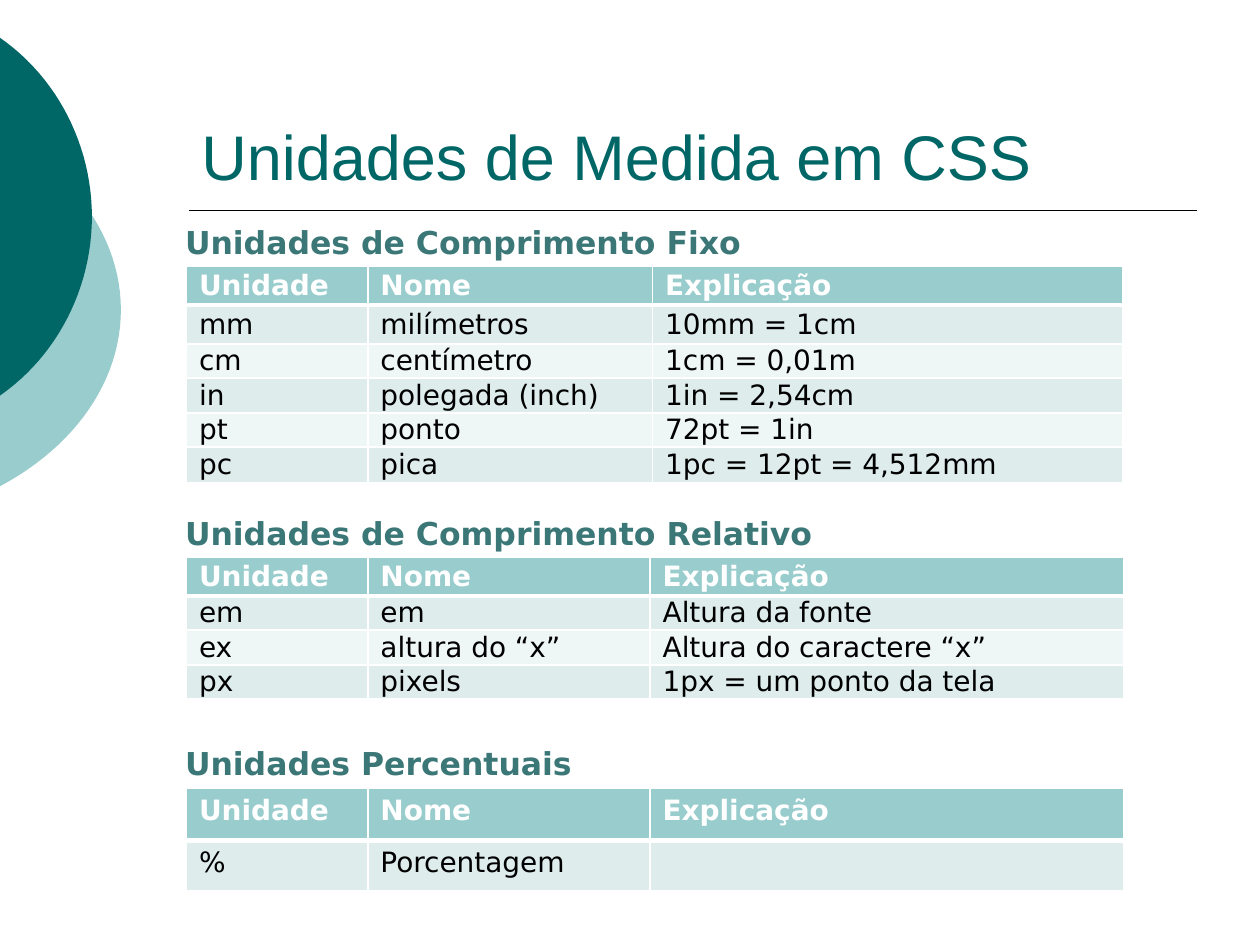
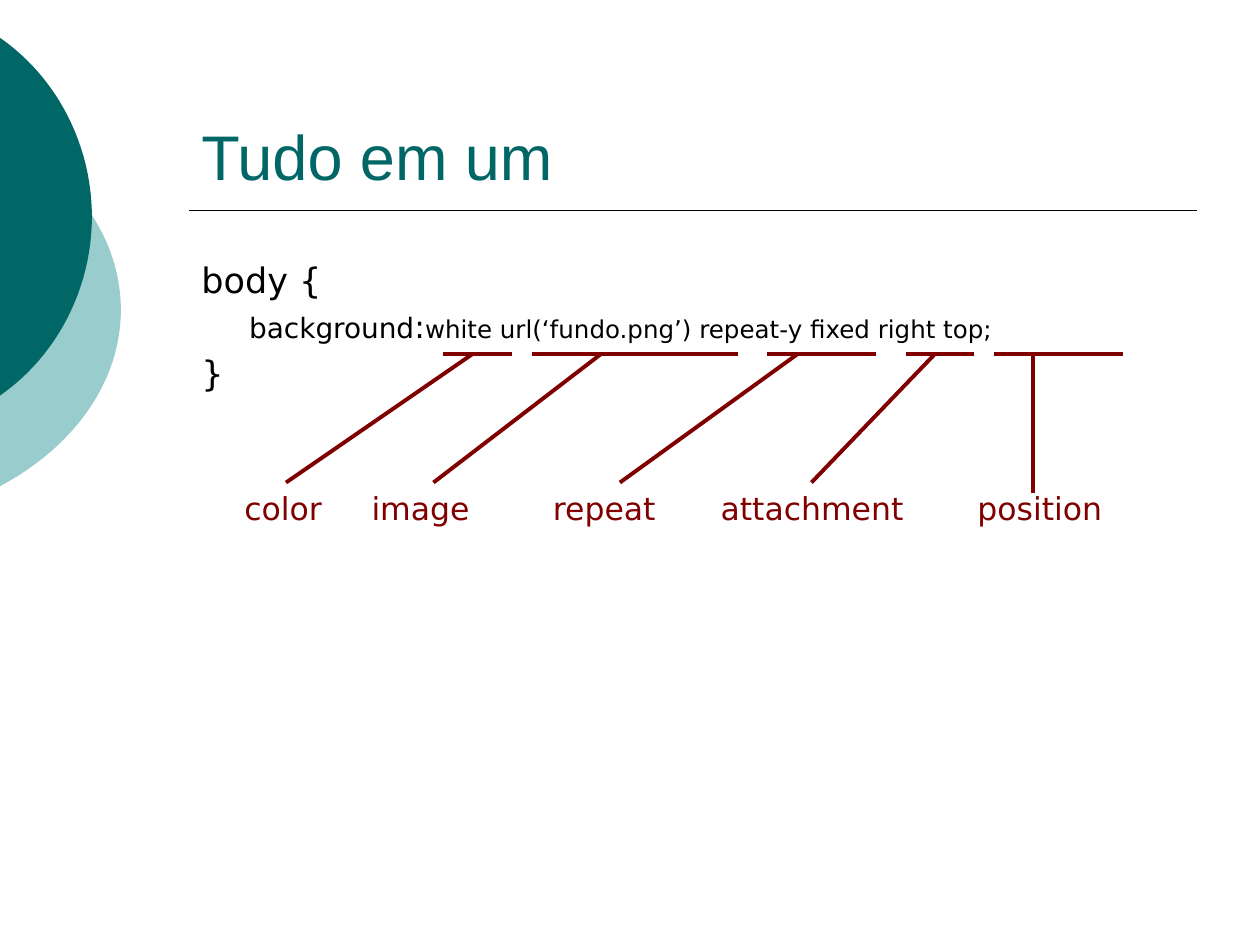
from dataclasses import dataclass

import lxml.etree
import pptx
import pptx.dml.color
import pptx.enum.shapes
import pptx.enum.text
import pptx.oxml.ns
import pptx.slide
import pptx.table
import pptx.text.text
import pptx.util

Inches = pptx.util.Inches
Pt = pptx.util.Pt
qn = pptx.oxml.ns.qn
Anchor = pptx.enum.text.MSO_ANCHOR


@dataclass(frozen=True)
class Theme:
    deep: str = "006666"
    pale: str = "99CCCC"
    head: str = "3B7777"
    odd: str = "DEECEC"
    even: str = "EFF6F6"
    mark: str = "800000"
    ink: str = "000000"
    white: str = "FFFFFF"
    sans: str = "DejaVu Sans"
    title: str = "Arial"
    huge: int = 36
    large: int = 20
    mid: int = 18
    base: int = 16
    small: int = 14


LOOK = Theme()


@dataclass(frozen=True)
class Disc:
    top: float
    mid: float
    bend: float
    reach: float
    fill: str


@dataclass(frozen=True)
class Grid:
    head: str
    wide: float
    head_top: float
    top: float
    cols: tuple[float, ...]
    highs: tuple[float, ...]
    rows: tuple[tuple[str, ...], ...]
    pad: float = 0
    anchor: Anchor = Anchor.MIDDLE


@dataclass(frozen=True)
class Part:
    name: str
    left: float
    wide: float
    start: float
    end: float
    tip: float
    foot: float
    low: float = 3.83


DISCS = (
    Disc(1.06, 2.46, 0.6, 0.96, LOOK.pale),
    Disc(0.3, 1.72, 0.46, 0.73, LOOK.deep),
)

HEADS = ("Unidade", "Nome", "Explicação")

GRIDS = (
    Grid("Unidades de Comprimento Fixo", 4.62, 1.72, 2.11,
         (1.44, 2.26, 3.73), (0.31, 0.31, 0.27, 0.28, 0.27, 0.28),
         (("mm", "milímetros", "10mm = 1cm"),
          ("cm", "centímetro", "1cm = 0,01m"),
          ("in", "polegada (inch)", "1in = 2,54cm"),
          ("pt", "ponto", "72pt = 1in"),
          ("pc", "pica", "1pc = 12pt = 4,512mm"))),
    Grid("Unidades de Comprimento Relativo", 5.19, 4.03, 4.42,
         (1.44, 2.24, 3.76), (0.31, 0.27, 0.28, 0.27),
         (("em", "em", "Altura da fonte"),
          ("ex", "altura do “x”", "Altura do caractere “x”"),
          ("px", "pixels", "1px = um ponto da tela"))),
    Grid("Unidades Percentuais", 3.28, 5.86, 6.26,
         (1.44, 2.24, 3.76), (0.41, 0.37),
         (("%", "Porcentagem", ""),), 0.05, Anchor.TOP),
)

PARTS = (
    Part("color", 1.84, 0.82, 3.52, 4.06, 3.75, 2.27),
    Part("image", 2.85, 0.98, 4.22, 5.86, 4.77, 3.44),
    Part("repeat", 4.29, 1.02, 6.09, 6.95, 6.33, 4.92),
    Part("attachment", 5.62, 1.65, 7.19, 7.73, 7.42, 6.44),
    Part("position", 7.66, 1.2, 7.89, 8.91, 8.2, 8.2, 3.91),
)
RULE = 2.81

CODE = (
    (0, (("body {", LOOK.large),)),
    (0.38, (("background", LOOK.base), (":", LOOK.mid),
            ("white url(‘fundo.png’) repeat-y fixed right top;", LOOK.small))),
    (0, (("}", LOOK.large),)),
)


def tint(code: str) -> pptx.dml.color.RGBColor:
    return pptx.dml.color.RGBColor.from_string(code)


def write(para: pptx.text.text._Paragraph, text: str, *, size: int = LOOK.base,
          ink: str = LOOK.ink, face: str = LOOK.sans, bold: bool = False) -> None:
    run = para.add_run()
    run.text = text
    run.font.size = Pt(size)
    run.font.name = face
    run.font.bold = bold
    run.font.color.rgb = tint(ink)


def box(slide: pptx.slide.Slide, left: float, top: float, wide: float,
        high: float, wrap: bool = False) -> pptx.text.text.TextFrame:
    frame = slide.shapes.add_textbox(
        Inches(left), Inches(top), Inches(wide), Inches(high)).text_frame
    frame.word_wrap = wrap
    return frame


def line(slide: pptx.slide.Slide, x1: float, y1: float, x2: float, y2: float,
         ink: str, width: float) -> None:
    link = slide.shapes.add_connector(
        pptx.enum.shapes.MSO_CONNECTOR.STRAIGHT,
        Inches(x1), Inches(y1), Inches(x2), Inches(y2))
    link.line.color.rgb = tint(ink)
    link.line.width = Pt(width)
    lxml.etree.SubElement(link._element.spPr, qn("a:effectLst"))


def curve(disc: Disc, steps: int = 24) -> list[tuple[float, float]]:
    knots = ((0, disc.top), (disc.bend, disc.top + 0.32),
             (disc.reach, disc.mid - 0.56), (disc.reach, disc.mid))
    upper = []
    for step in range(steps + 1):
        t = step / steps
        u = 1 - t
        parts = (u ** 3, 3 * u * u * t, 3 * u * t * t, t ** 3)
        upper.append(tuple(sum(part * knot[axis] for part, knot in zip(parts, knots))
                           for axis in (0, 1)))
    return upper + [(x, 2 * disc.mid - y) for x, y in reversed(upper[:-1])]


def draw(slide: pptx.slide.Slide, disc: Disc) -> None:
    dots = [(Inches(x), Inches(y)) for x, y in curve(disc)]
    form = slide.shapes.build_freeform(*dots[0])
    form.add_line_segments(dots[1:], close=True)
    shape = form.convert_to_shape()
    shape.shadow.inherit = False
    shape.fill.solid()
    shape.fill.fore_color.rgb = tint(disc.fill)
    shape.line.fill.background()


def start(deck: pptx.presentation.Presentation, title: str) -> pptx.slide.Slide:
    slide = deck.slides.add_slide(deck.slide_layouts[6])
    for disc in DISCS:
        draw(slide, disc)
    line(slide, 1.5, 1.67, 9.5, 1.67, LOOK.ink, 1)
    frame = box(slide, 1.5, 0.33, 8, 1.25, wrap=True)
    frame.vertical_anchor = Anchor.BOTTOM
    write(frame.paragraphs[0], title, size=LOOK.huge, ink=LOOK.deep, face=LOOK.title)
    return slide


def edge(cell: pptx.table._Cell, row: int) -> None:
    props = cell._tc.get_or_add_tcPr()
    widths = {"L": 1, "R": 1, "T": 3 if row == 1 else 1, "B": 3 if row == 0 else 1}
    for place, (side, width) in enumerate(widths.items()):
        border = lxml.etree.Element(qn(f"a:ln{side}"), w=str(Pt(width)))
        fill = lxml.etree.SubElement(border, qn("a:solidFill"))
        lxml.etree.SubElement(fill, qn("a:srgbClr"), val=LOOK.white)
        props.insert(place, border)


def table(slide: pptx.slide.Slide, grid: Grid) -> None:
    frame = box(slide, 1.37, grid.head_top, grid.wide, 0.4)
    write(frame.paragraphs[0], grid.head, size=LOOK.mid, ink=LOOK.head, bold=True)
    lines = (HEADS, *grid.rows)
    sheet = slide.shapes.add_table(
        len(lines), len(HEADS), Inches(1.48), Inches(grid.top),
        Inches(sum(grid.cols)), Inches(sum(grid.highs))).table
    for col, wide in zip(sheet.columns, grid.cols):
        col.width = Inches(wide)
    for row, (texts, high) in enumerate(zip(lines, grid.highs)):
        sheet.rows[row].height = Inches(high)
        top = row == 0
        shade = LOOK.pale if top else LOOK.odd if row % 2 else LOOK.even
        for col, text in enumerate(texts):
            cell = sheet.cell(row, col)
            cell.fill.solid()
            cell.fill.fore_color.rgb = tint(shade)
            cell.margin_left = cell.margin_right = Inches(0.1)
            cell.margin_top = cell.margin_bottom = Inches(grid.pad)
            cell.vertical_anchor = grid.anchor
            edge(cell, row)
            write(cell.text_frame.paragraphs[0], text, bold=top,
                  ink=LOOK.white if top else LOOK.ink)


def code(slide: pptx.slide.Slide) -> None:
    frame = box(slide, 1.5, 2, 8, 4.5, wrap=True)
    for place, (indent, runs) in enumerate(CODE):
        para = frame.add_paragraph() if place else frame.paragraphs[0]
        if place:
            para.space_before = Pt(4)
        if indent:
            para._p.get_or_add_pPr().set("marL", str(Inches(indent)))
        for text, size in runs:
            write(para, text, size=size)


def point(slide: pptx.slide.Slide, part: Part) -> None:
    line(slide, part.tip, RULE, part.foot, part.low, LOOK.mark, 2.25)
    line(slide, part.start, RULE, part.end, RULE, LOOK.mark, 2.25)
    frame = box(slide, part.left, 3.83, part.wide, 0.4)
    write(frame.paragraphs[0], part.name, size=LOOK.mid, ink=LOOK.mark)


def main() -> None:
    deck = pptx.Presentation()
    deck.slide_width = Inches(10)
    deck.slide_height = Inches(7.5)
    units = start(deck, "Unidades de Medida em CSS")
    for grid in GRIDS:
        table(units, grid)
    short = start(deck, "Tudo em um")
    code(short)
    for part in PARTS:
        point(short, part)
    deck.save("out.pptx")


if __name__ == "__main__":
    main()
